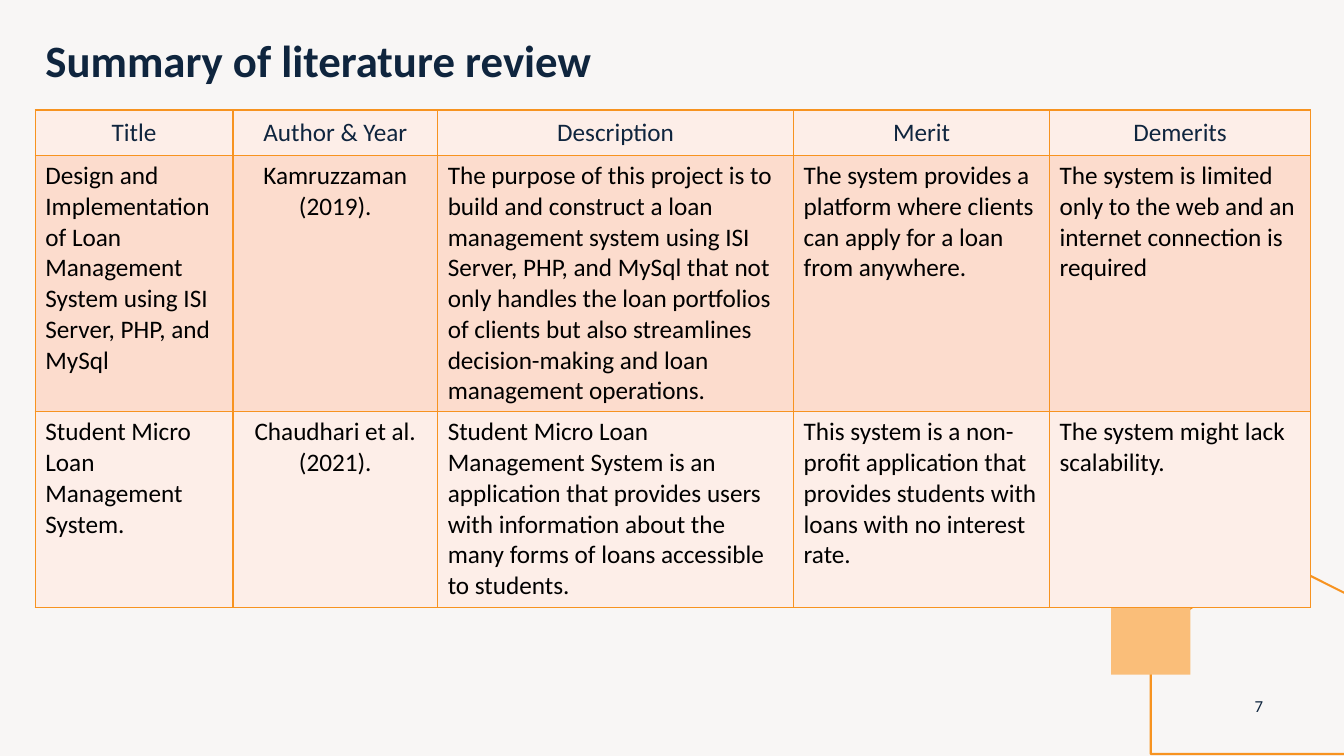
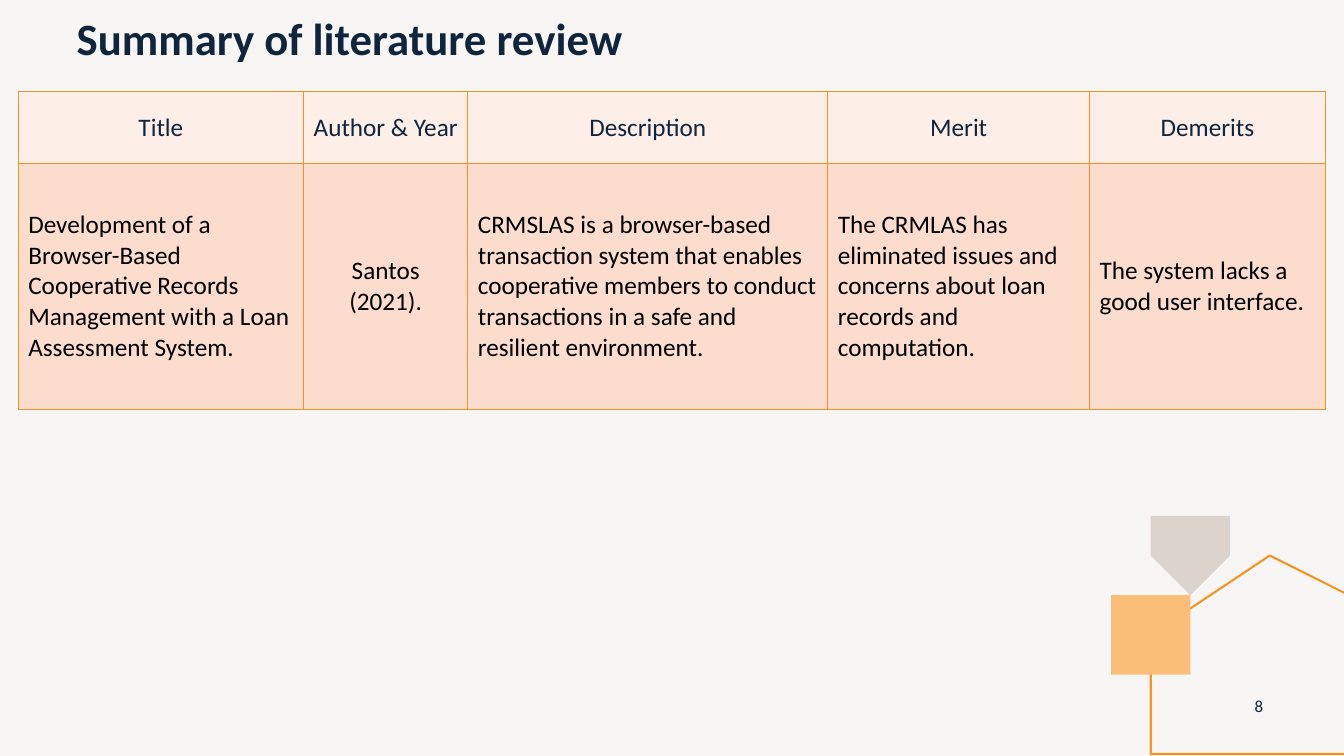
import pptx
import pptx.util
import pptx.dml.color
import pptx.enum.text
import pptx.oxml
import pptx.oxml.ns

Cm = pptx.util.Cm
Pt = pptx.util.Pt
ALIGN = pptx.enum.text.PP_ALIGN
ANCHOR = pptx.enum.text.MSO_ANCHOR
FONT = "Calibri"
HUES = {
    "back": "F8F6F5",
    "navy": "0F253E",
    "black": "000000",
    "line": "F79320",
    "amber": "FABE79",
    "grey": "DCD3CC",
    "pale": "FDEEE8",
    "peach": "FCDCCD",
}


def rgb(name):
    return pptx.dml.color.RGBColor.from_string(HUES[name])


def write(frame, text, size=18, hue="navy", bold=False, align=ALIGN.LEFT,
          anchor=ANCHOR.MIDDLE, space=None):
    """Fill a text frame, one paragraph for each line of text."""
    frame.word_wrap = True
    frame.vertical_anchor = anchor
    frame.text = text
    for para in frame.paragraphs:
        para.alignment = align
        para.line_spacing = space
        for run in para.runs:
            run.font.name = FONT
            run.font.size = Pt(size)
            run.font.bold = bold
            run.font.color.rgb = rgb(hue)


# Content of each slide, lengths in cm
HEAD = ["Title", "Author & Year", "Description", "Merit", "Demerits"]
PAGES = [
    {
        "page": "7",
        "title": (0.89, 0.84),
        "table": (0.89, 2.77),
        "cols": [4.98, 5.16, 8.97, 6.45, 6.58],
        "rows": [1.15, 6.45, 4.93],
        "anchor": ANCHOR.TOP,
        "body": [
            ["Design and Implementation of Loan Management System using ISI "
             "Server, PHP, and MySql",
             "Kamruzzaman (2019).",
             "The purpose of this project is to build and construct a loan "
             "management system using ISI Server, PHP, and MySql that not only "
             "handles the loan portfolios of clients but also streamlines "
             "decision-making and loan management operations.",
             "The system provides a platform where clients can apply for a "
             "loan from anywhere.",
             "The system is limited only to the web and an internet "
             "connection is required"],
            ["Student Micro Loan Management System.",
             "Chaudhari et al. (2021).",
             "Student Micro Loan Management System is an application that "
             "provides users with information about the many forms of loans "
             "accessible to students.",
             "This system is a non-profit application that provides students "
             "with loans with no interest rate.",
             "The system might lack scalability."],
        ],
    },
    {
        "page": "8",
        "title": (1.68, 0.3),
        "table": (0.46, 2.31),
        "cols": [7.19, 4.14, 9.07, 6.6, 5.94],
        "rows": [1.8, 6.2],
        "anchor": ANCHOR.MIDDLE,
        "body": [
            ["Development of a Browser-Based Cooperative Records Management "
             "with a Loan Assessment System.",
             "Santos (2021).",
             "CRMSLAS is a browser-based transaction system that enables "
             "cooperative members to conduct transactions in a safe and "
             "resilient environment.",
             "The CRMLAS has eliminated issues and concerns about loan\n"
             "records and computation.",
             "The system lacks a good user interface."],
        ],
    },
]

deck = pptx.Presentation()
deck.slide_width = Cm(33.87)
deck.slide_height = Cm(19.05)

# Shared layout: background, title only
base = deck.slide_layouts[5]
base.background.fill.solid()
base.background.fill.fore_color.rgb = rgb("back")
for holder in list(base.placeholders):
    if holder.placeholder_format.idx != 0:
        holder.element.getparent().remove(holder.element)

slides = [deck.slides.add_slide(base) for _ in PAGES]

# Hexagons in the corner, drawn once and moved to the layout
hexes = []
for left, top, wide, high in [(29.31, 12.95, 1.68, 1.9), (28.27, 14.86, 2.08, 2.39)]:
    mid, right = left + wide / 2, left + wide
    upper, lower = top + high / 4, top + high * 3 / 4
    hexes.append([(mid, top), (right, upper), (right, lower),
                  (mid, top + high), (left, lower), (left, upper)])
large = [(32, 14.3), (33.87, 15.34), (33.87, 19.05),
         (29.36, 19.05), (29.24, 18.97), (29.24, 15.88)]
for points, fill in [(hexes[0], "grey"), (large, None), (hexes[1], "amber")]:
    pen = slides[0].shapes.build_freeform(*points[0], scale=Cm(1))
    pen.add_line_segments(points[1:], close=True)
    shape = pen.convert_to_shape()
    shape.shadow.inherit = False
    if fill:
        shape.fill.solid()
        shape.fill.fore_color.rgb = rgb(fill)
        shape.line.fill.background()
    else:
        shape.fill.background()
        shape.line.color.rgb = rgb("line")
        shape.line.width = Pt(1.5)
    base.shapes.element.append(shape.element)

for slide, data in zip(slides, PAGES):
    # Title
    title = slide.shapes.title
    title.left, title.top = map(Cm, data["title"])
    title.width, title.height = Cm(24.69), Cm(1.27)
    write(title.text_frame, "Summary of literature review", size=32, bold=True,
          anchor=ANCHOR.TOP, space=0.9)

    # Table
    cols, rows = data["cols"], data["rows"]
    left, top = map(Cm, data["table"])
    table = slide.shapes.add_table(len(rows), len(cols), left, top,
                                   Cm(sum(cols)), Cm(sum(rows))).table
    for col, wide in zip(table.columns, cols):
        col.width = Cm(wide)
    for row, high in zip(table.rows, rows):
        row.height = Cm(high)
    for r, texts in enumerate([HEAD] + data["body"]):
        for c, text in enumerate(texts):
            cell = table.cell(r, c)
            props = cell._tc.get_or_add_tcPr()
            for side in "LRTB":
                props.append(pptx.oxml.parse_xml(
                    f'<a:ln{side} {pptx.oxml.ns.nsdecls("a")} w="12700"><a:solidFill>'
                    f'<a:srgbClr val="{HUES["line"]}"/></a:solidFill></a:ln{side}>'))
            cell.fill.solid()
            cell.fill.fore_color.rgb = rgb("peach" if r % 2 else "pale")
            write(cell.text_frame, text, hue="black" if r else "navy",
                  align=ALIGN.CENTER if r == 0 or c == 1 else ALIGN.LEFT)
            cell.vertical_anchor = data["anchor"] if r else ANCHOR.MIDDLE

    # Page number
    box = slide.shapes.add_textbox(Cm(31.09), Cm(17.27), Cm(1.27), Cm(1.02))
    write(box.text_frame, data["page"], size=12, align=ALIGN.CENTER)

deck.save("out.pptx")
